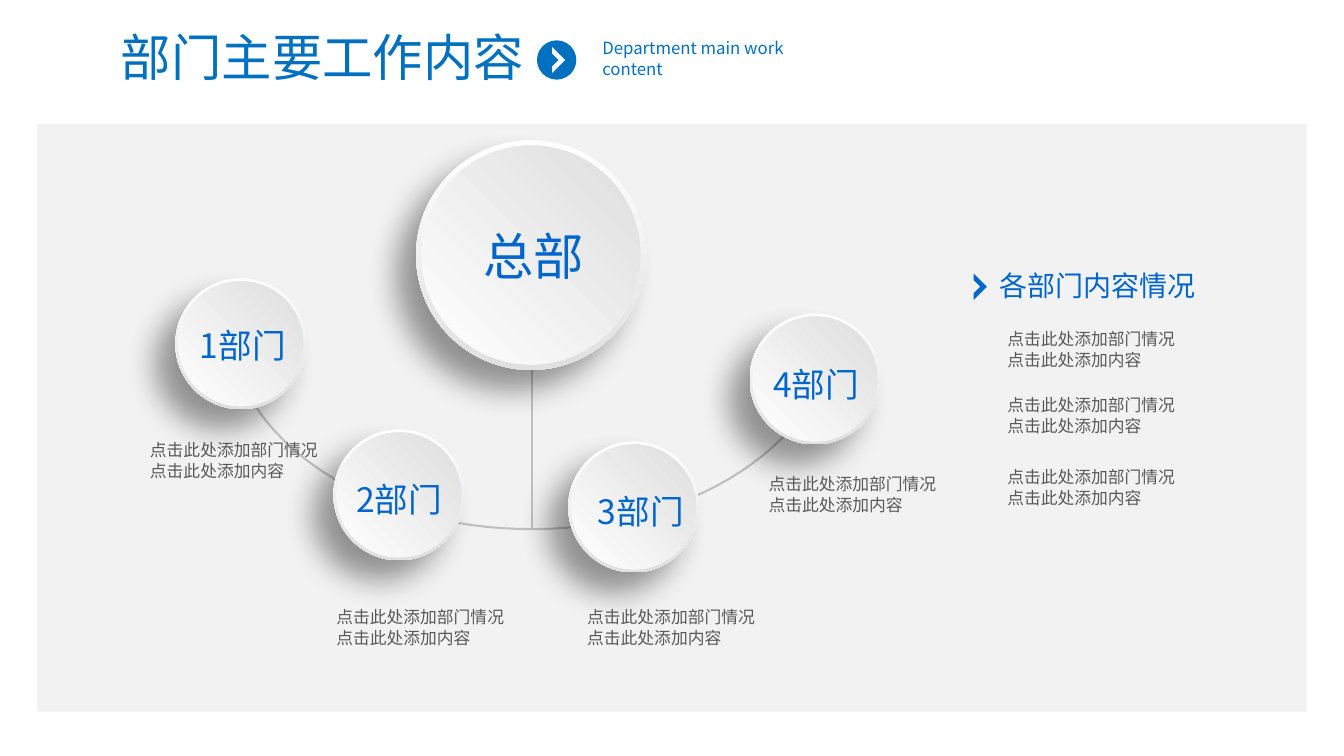
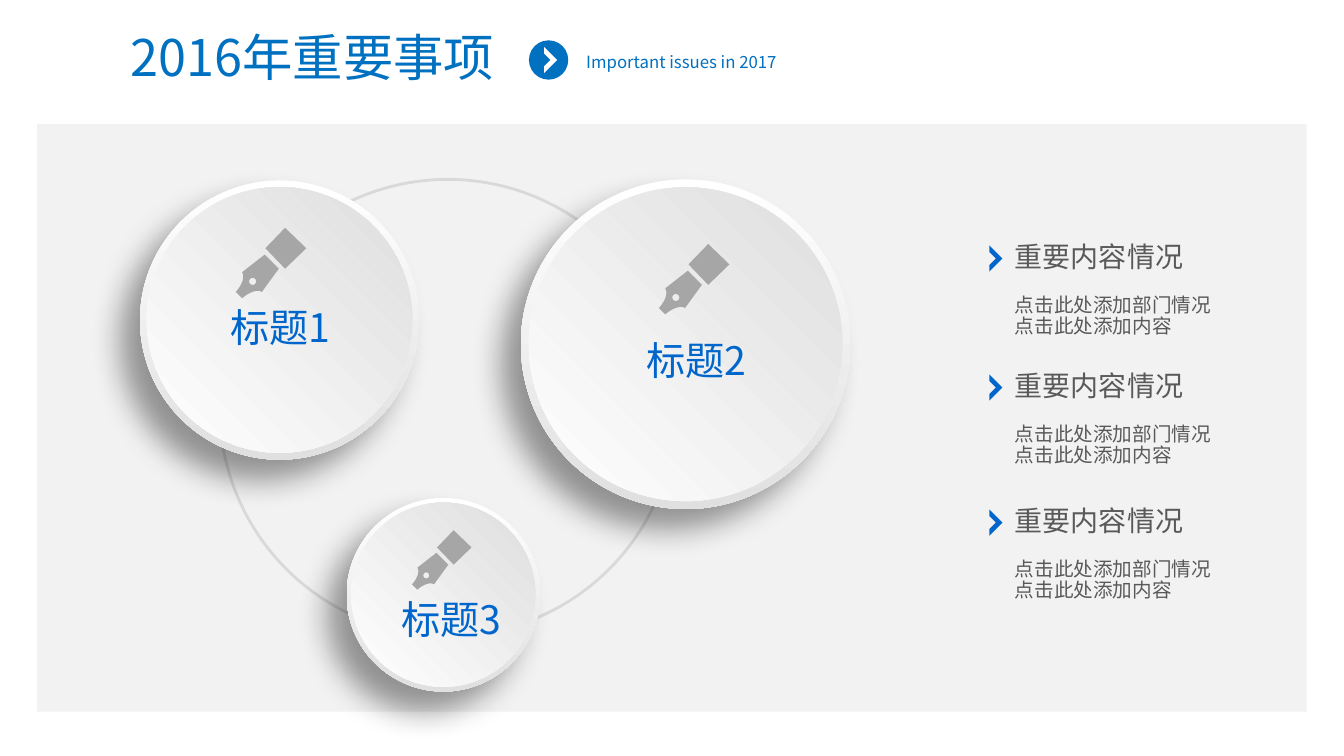
from math import cos, pi, sin

from lxml.etree import SubElement
from pptx import Presentation
from pptx.dml.color import RGBColor
from pptx.enum.shapes import MSO_CONNECTOR as Connector, MSO_SHAPE as Shape
from pptx.enum.text import MSO_AUTO_SIZE as AutoSize, PP_ALIGN as Align
from pptx.oxml.ns import qn
from pptx.util import Inches, Pt

CELL = Inches(0.1)
COLUMNS, ROWS = 133.4, 75
FONT = "Noto Sans CJK SC"
TITLE_BLUE = RGBColor(0x00, 0x70, 0xC0)
BLUE = RGBColor(0x00, 0x66, 0xCC)
TEXT_GREY = RGBColor(0x59, 0x59, 0x59)
ICON_GREY = RGBColor(0xA6, 0xA6, 0xA6)
LINK_GREY = RGBColor(0xBF, 0xBF, 0xBF)
RING_GREY = RGBColor(0xD9, 0xD9, 0xD9)
PANEL_GREY = RGBColor(0xF2, 0xF2, 0xF2)
RIM_GREY = RGBColor(0xE0, 0xE0, 0xE0)
FACE_GREY = RGBColor(0xDD, 0xDE, 0xDD)
WHITE = RGBColor(0xFF, 0xFF, 0xFF)

NOTE = "点击此处添加部门情况\n点击此处添加内容"
CHEVRON = [(0.5, 0.5), (0, 0.75), (0, 1), (1, 0.5), (0, 0), (0, 0.25)]


def cells(count):
    return round(count * CELL)


def curve(start, pull_a, pull_b, end, steps=24):
    points = []
    for step in range(steps + 1):
        t = step / steps
        weights = ((1 - t) ** 3, 3 * t * (1 - t) ** 2, 3 * t * t * (1 - t), t ** 3)
        corners = (start, pull_a, pull_b, end)
        points.append(tuple(sum(w * c[axis] for w, c in zip(weights, corners))
                            for axis in (0, 1)))
    return points


def circle_points(x, y, radius, steps=24):
    angles = [2 * pi * step / steps for step in range(steps)]
    return [(x + radius * cos(a), y + radius * sin(a)) for a in angles]


PEN_CAP = [(0.7, 0), (0.42, 0.29), (0.7, 0.58), (1, 0.29)]
PEN_NIB = (curve((0.09, 0.63), (0.13, 0.7), (0.09, 0.81), (0, 0.91))
           + curve((0.09, 1), (0.19, 0.91), (0.31, 0.87), (0.37, 0.91))
           + [(0.61, 0.58), (0.41, 0.38)])
PEN_HOLE = circle_points(0.24, 0.76, 0.05)


class Deck:
    """Draws styled elements on the current slide, measured in grid cells."""

    def __init__(self):
        self.prs = Presentation()
        self.prs.slide_width = cells(COLUMNS)
        self.prs.slide_height = cells(ROWS)
        self.shapes = None

    def new_slide(self, title, title_width, badge_x, subtitle, subtitle_box):
        self.shapes = self.prs.slides.add_slide(self.prs.slide_layouts[6]).shapes
        self.preset(Shape.OVAL, badge_x, 4, 3.9, 3.9, TITLE_BLUE)
        self.chevron(badge_x + 1.5, 4.65, WHITE)
        self.text(subtitle, *subtitle_box, 12, TITLE_BLUE)
        self.text(title, 7.6, 2.1, title_width, 7.1, 36, TITLE_BLUE, Align.CENTER)
        self.preset(Shape.RECTANGLE, 3.7, 12.3, 126, 58.3, PANEL_GREY)

    def paint(self, shape, fill=None, line=None, width=1.5):
        shape.shadow.inherit = False
        if fill is None:
            shape.fill.background()
        else:
            shape.fill.solid()
            shape.fill.fore_color.rgb = fill
        if line is None:
            shape.line.fill.background()
        else:
            shape.line.color.rgb = line
            shape.line.width = Pt(width)
        return shape

    def preset(self, kind, x, y, width, height, fill=None, line=None, line_width=1.5):
        box = map(cells, (x, y, width, height))
        return self.paint(self.shapes.add_shape(kind, *box), fill, line, line_width)

    def outline(self, contours, fill=None, line=None, close=True):
        scaled = [[(cells(x), cells(y)) for x, y in contour] for contour in contours]
        builder = self.shapes.build_freeform(*scaled[0][0])
        builder.add_line_segments(scaled[0][1:], close=close)
        for contour in scaled[1:]:
            builder.move_to(*contour[0])
            builder.add_line_segments(contour[1:], close=close)
        return self.paint(builder.convert_to_shape(), fill, line)

    def icon(self, contours, x, y, width, height, fill):
        self.outline([[(x + u * width, y + v * height) for u, v in contour]
                      for contour in contours], fill)

    def chevron(self, x, y, fill=BLUE):
        self.icon([CHEVRON], x, y, 1.3, 2.6, fill)

    def pen(self, x, y, size):
        self.icon([PEN_CAP], x, y, size, size, ICON_GREY)
        self.icon([PEN_NIB, PEN_HOLE], x, y, size, size, ICON_GREY)

    def link(self, x1, y1, x2, y2):
        line = self.shapes.add_connector(Connector.STRAIGHT, *map(cells, (x1, y1, x2, y2)))
        line.line.color.rgb = LINK_GREY
        line.line.width = Pt(1.5)
        SubElement(line._element.spPr, qn("a:effectLst"))

    def gradient_disc(self, x, y, size, shade, angle):
        disc = self.preset(Shape.OVAL, x, y, size, size)
        disc.fill.gradient()
        disc.fill.gradient_angle = angle
        for stop, color in zip(disc.fill.gradient_stops, (WHITE, shade)):
            stop.color.rgb = color
        return disc

    def button(self, x, y, size):
        rim = self.gradient_disc(x, y, size, RIM_GREY, 270)
        effects = rim._element.spPr.find(qn("a:effectLst"))
        shadow = SubElement(effects, qn("a:outerShdw"), blurRad=str(Pt(22)),
                            dist=str(Pt(20)), dir=str(135 * 60000),
                            algn="tr", rotWithShape="0")
        black = SubElement(shadow, qn("a:srgbClr"), val="000000")
        SubElement(black, qn("a:alpha"), val="40000")
        inset = size * 0.024
        self.gradient_disc(x + inset, y + inset, size - 2 * inset, FACE_GREY, 45)

    def text(self, words, x, y, width, height, size, color, align=Align.LEFT, spacing=None):
        frame = self.shapes.add_textbox(*map(cells, (x, y, width, height))).text_frame
        frame.text = words
        frame.word_wrap = True
        frame.auto_size = AutoSize.SHAPE_TO_FIT_TEXT
        for paragraph in frame.paragraphs:
            paragraph.alignment = align
            if spacing:
                paragraph.line_spacing = Pt(spacing)
            for run in paragraph.runs:
                run.font.size = Pt(size)
                run.font.color.rgb = color
                run.font.name = FONT
                SubElement(run._r.get_or_add_rPr(), qn("a:ea"), typeface=FONT)

    def label(self, words, x, y, width, height, size):
        self.text(words, x, y, width, height, size, BLUE, Align.CENTER)

    def note(self, x, y, size=12):
        self.text(NOTE, x, y, 23.3, 5.2, size, TEXT_GREY, spacing=15)

    def heading(self, words, x, y, color):
        self.chevron(x - 1.55, y + 1.05)
        self.text(words, x, y, 27.5, 4.4, 20, color)


def departments(deck):
    deck.new_slide("部门主要工作内容", 48.8, 53.3,
                   "Department main work content", (58.8, 3.3, 20.5, 5))
    right_half = curve((80.9, 39.2), (76.5, 47), (65.6, 52.5), (52.8, 52.5))
    left_half = curve((52.8, 52.5), (40, 52.5), (29, 47), (24.7, 39.2))
    deck.outline([right_half + left_half[1:]], line=LINK_GREY, close=False)
    deck.link(52.8, 32.7, 52.8, 52.5)
    branches = [
        ("1部门", (17.4, 27.6), (16.9, 31.7), (13.9, 43)),
        ("2部门", (33.1, 42.6), (32.4, 47), (32.4, 59.6)),
        ("3部门", (56.4, 43.8), (56.4, 48.2), (57.3, 59.6)),
        ("4部门", (74.4, 31.1), (73.8, 35.6), (75.3, 46.4)),
    ]
    deck.button(41.3, 13.9, 22.8)
    for _, disc, _, _ in branches:
        deck.button(*disc, 13)
    deck.label("总部", 45.8, 21.8, 14.4, 7.1, 36)
    for name, _, label, note in branches:
        deck.label(name, *label, 14.4, 5, 24)
        deck.note(*note)
    deck.heading("各部门内容情况", 98.2, 26.1, BLUE)
    for y in (32, 38.6, 45.7):
        deck.note(99, y)


def key_issues(deck):
    deck.new_slide("2016年重要事项", 46.8, 52.5,
                   "Important issues in 2017", (57.2, 4.6, 25, 3))
    deck.preset(Shape.OVAL, 21.8, 17.8, 45.3, 45.3, line=RING_GREY, line_width=2)
    topics = [
        ("标题1", (13.9, 17.9, 27.7), (17.7, 29.6), (23.4, 22.6, 7)),
        ("标题2", (51.7, 17.8, 32.7), (59, 32.9), (65.4, 24.2, 7)),
        ("标题3", (34.4, 49.4, 19.2), (34.7, 58.6), (40.9, 52.6, 5.9)),
    ]
    for _, disc, _, _ in topics:
        deck.button(*disc)
    for name, _, label, pen in topics:
        deck.label(name, *label, 20.2, 5.7, 28)
        deck.pen(*pen)
    for y in (23.3, 36.1, 49.5):
        deck.heading("重要内容情况", 99.75, y, TEXT_GREY)
        deck.note(99.75, y + 5.5, 14)


def main():
    deck = Deck()
    departments(deck)
    key_issues(deck)
    deck.prs.save("out.pptx")


if __name__ == "__main__":
    main()
